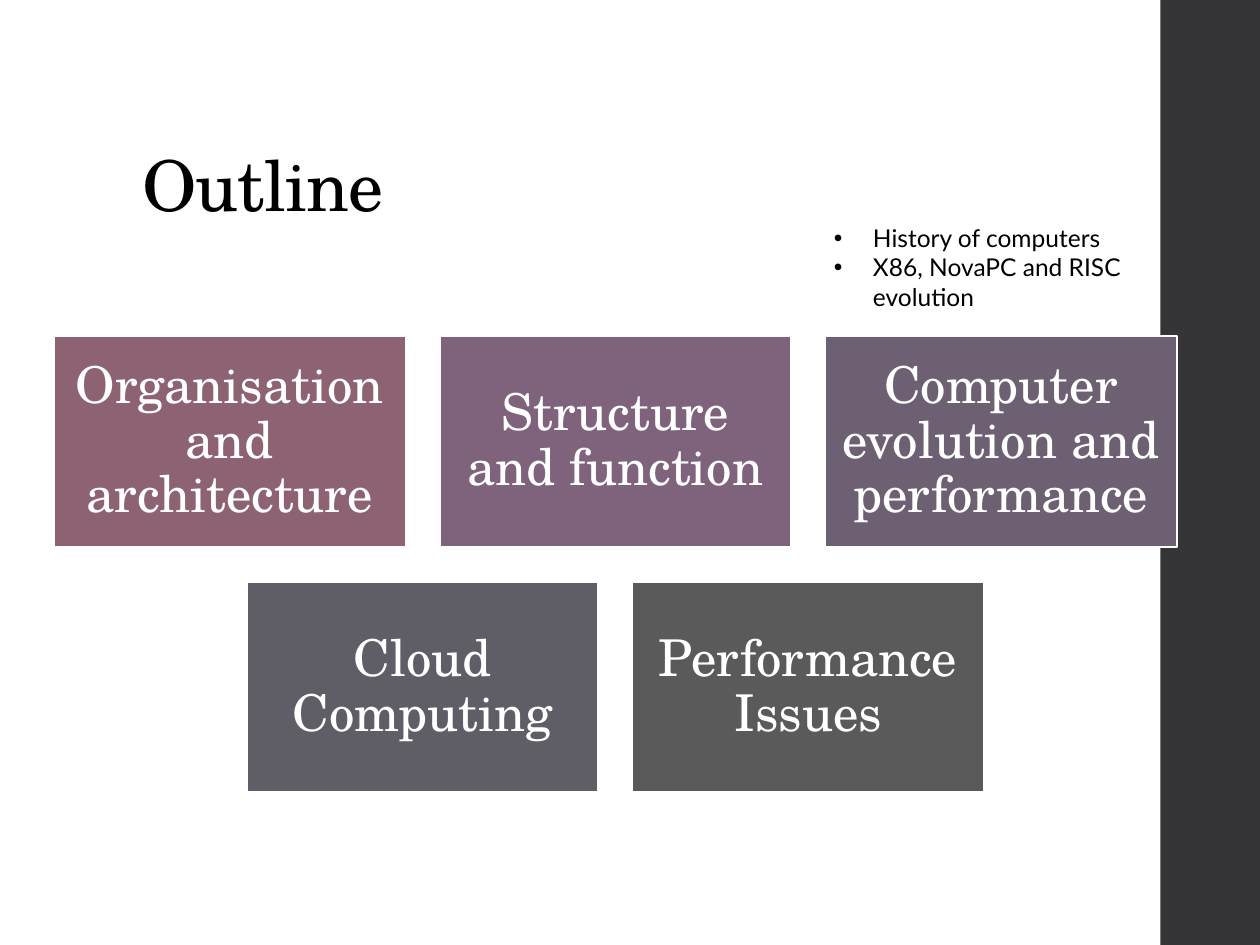
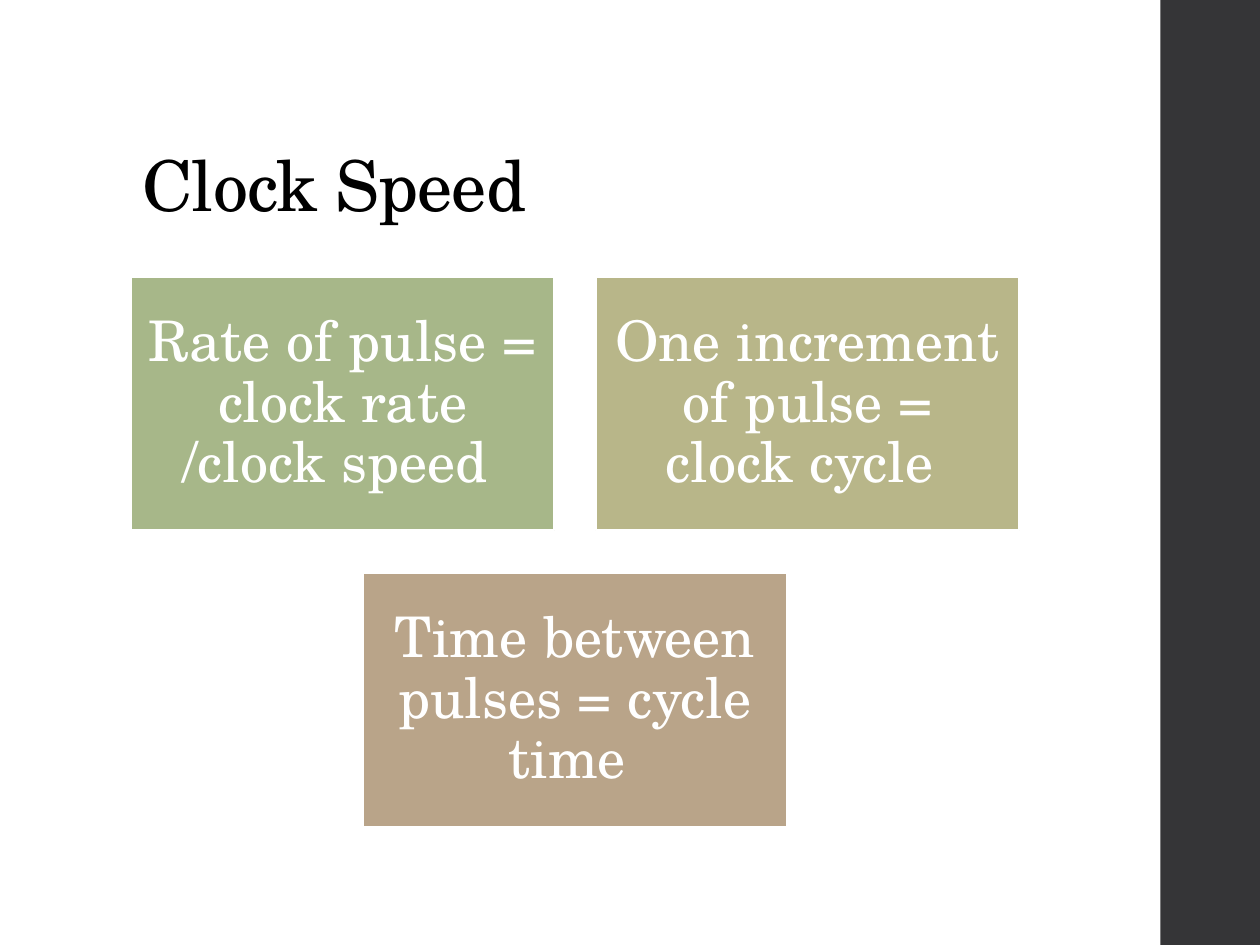
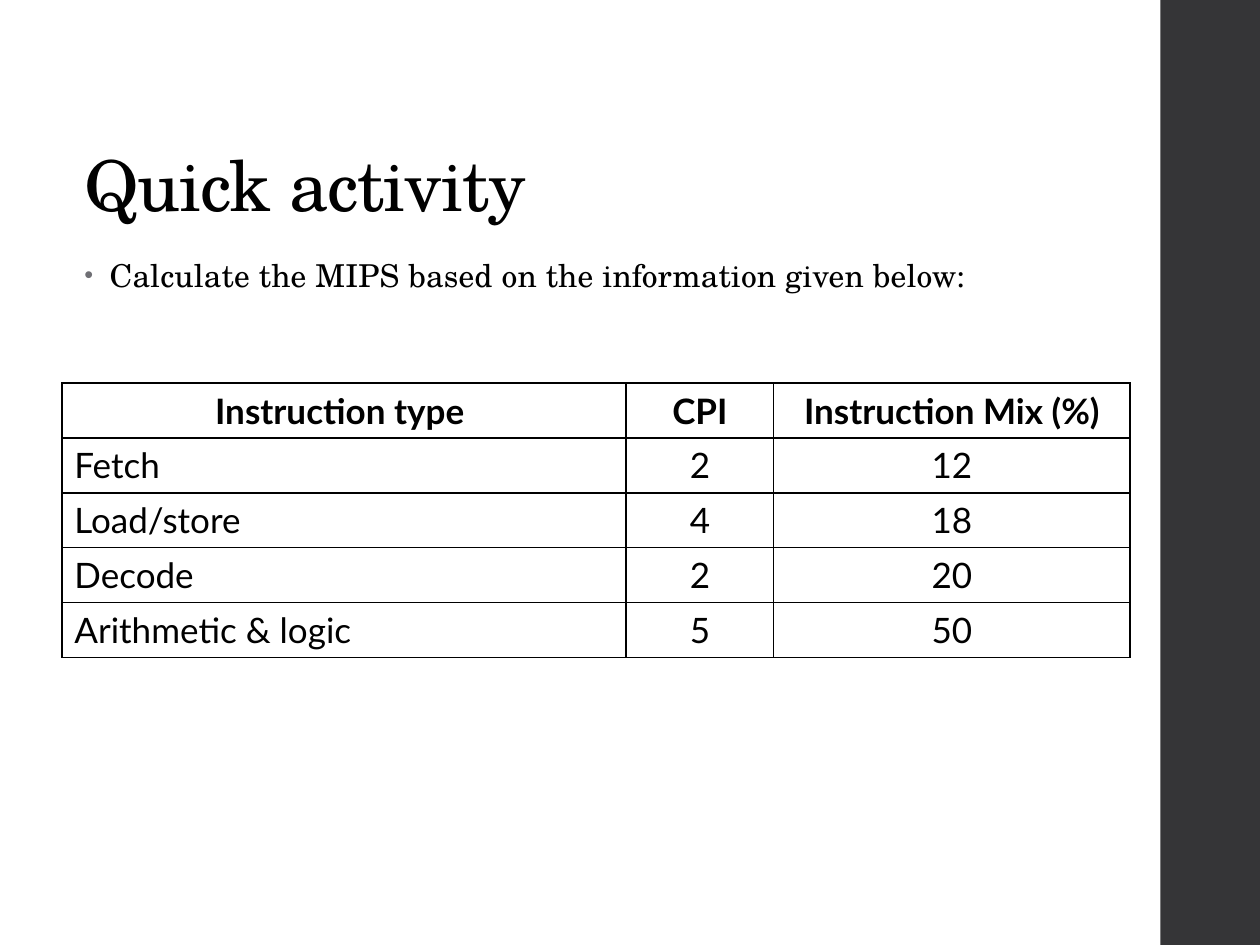
from lxml import etree
from pptx import Presentation
from pptx.dml.color import RGBColor
from pptx.enum.shapes import MSO_SHAPE
from pptx.enum.text import MSO_ANCHOR, MSO_AUTO_SIZE, PP_ALIGN
from pptx.oxml.ns import qn
from pptx.util import Inches, Pt

RECTANGLE = MSO_SHAPE.RECTANGLE
TOP, MIDDLE, BOTTOM = MSO_ANCHOR.TOP, MSO_ANCHOR.MIDDLE, MSO_ANCHOR.BOTTOM
LEFT, CENTER = PP_ALIGN.LEFT, PP_ALIGN.CENTER
NO_AUTOFIT = MSO_AUTO_SIZE.NONE

SERIF, SANS = "TeX Gyre Schola", "Lato"
BLACK = RGBColor(0x00, 0x00, 0x00)
WHITE = RGBColor(0xFF, 0xFF, 0xFF)
BAND_GRAY = RGBColor(0x35, 0x35, 0x37)
BULLET_GRAY = RGBColor(0x6F, 0x6F, 0x74)
MAUVE = RGBColor(0x8D, 0x63, 0x74)
PURPLE = RGBColor(0x7F, 0x62, 0x7C)
VIOLET = RGBColor(0x6C, 0x60, 0x72)
SLATE = RGBColor(0x5F, 0x5D, 0x66)
GRAPHITE = RGBColor(0x5A, 0x5A, 0x5A)
SAGE = RGBColor(0xA7, 0xB7, 0x89)
OLIVE = RGBColor(0xB8, 0xB6, 0x89)
TAN = RGBColor(0xB9, 0xA4, 0x89)

TOPICS = [
    ("Organisation and architecture", MAUVE),
    ("Structure and function", PURPLE),
    ("Computer evolution and performance", VIOLET),
    ("Cloud Computing", SLATE),
    ("Performance Issues", GRAPHITE),
]
CLOCK_TERMS = [
    ("Rate of pulse = clock rate /clock speed ", SAGE),
    ("One increment of pulse = clock cycle ", OLIVE),
    ("Time between pulses = cycle time ", TAN),
]
EVOLUTION_NOTES = ["History of computers", "X86, NovaPC and RISC evolution"]
INSTRUCTION_MIX = [
    ("Instruction type ", "CPI", "Instruction Mix (%)"),
    ("Fetch", "2", "12"),
    ("Load/store", "4", "18"),
    ("Decode", "2", "20"),
    ("Arithmetic & logic", "5", "50"),
]


def add_run(paragraph, text, font, size, color, bold=False, spacing=0):
    """Add a formatted run, with letter spacing in points."""
    run = paragraph.add_run()
    run.text = text
    run.font.name = font
    run.font.size = Pt(size)
    run.font.color.rgb = color
    run.font.bold = bold
    if spacing:
        run.font._element.set("spc", str(round(spacing * 100)))


def add_bullet(paragraph, margin, hanging, color=None, percent=100):
    """Give a paragraph a hanging round bullet."""
    properties = paragraph._p.get_or_add_pPr()
    properties.set("marL", str(Inches(margin)))
    properties.set("indent", str(-Inches(hanging)))
    if color is not None:
        bullet_color = etree.SubElement(properties, qn("a:buClr"))
        etree.SubElement(bullet_color, qn("a:srgbClr"), val=str(color))
    etree.SubElement(properties, qn("a:buSzPct"), val=str(percent * 1000))
    etree.SubElement(properties, qn("a:buFont"), typeface="Arial")
    etree.SubElement(properties, qn("a:buChar"), char="•")


def set_space_after_percent(paragraph, percent):
    """Set the space after a paragraph relative to its text size."""
    paragraph.space_after = Pt(0)
    space = paragraph._p.pPr.find(qn("a:spcAft"))
    space.clear()
    etree.SubElement(space, qn("a:spcPct"), val=str(percent * 1000))


def place(shape, box):
    """Move a shape to a box of left, top, width and height in inches."""
    shape.left, shape.top, shape.width, shape.height = map(Inches, box)


def add_rectangle(slide, box, color):
    """Add a filled rectangle without line or shadow."""
    shape = slide.shapes.add_shape(RECTANGLE, *map(Inches, box))
    shape.shadow.inherit = False
    shape.fill.solid()
    shape.fill.fore_color.rgb = color
    shape.line.fill.background()
    return shape


def add_master_band(presentation, slide):
    """Put the dark side band on the slide master."""
    band = add_rectangle(slide, (9.21, 0, 0.79, 7.5), BAND_GRAY)
    presentation.slide_master.shapes.element.insert(2, band.element)


def add_titled_slide(presentation, layout_index, title, left=1.03):
    """Add a slide whose title runs from left to the shared right edge."""
    slide = presentation.slides.add_slide(presentation.slide_layouts[layout_index])
    place(slide.shapes.title, (left, 0.4, 8.98 - left, 1.45))
    frame = slide.shapes.title.text_frame
    frame.auto_size = NO_AUTOFIT
    frame.vertical_anchor = BOTTOM
    paragraph = frame.paragraphs[0]
    paragraph.alignment = LEFT
    paragraph.line_spacing = 0.9
    add_run(paragraph, title, SERIF, 40, BLACK, spacing=-0.5)
    return slide


def add_tile(slide, box, text, color, size, inset):
    """Add one coloured tile with centred white text."""
    tile = add_rectangle(slide, box, color)
    tile.line.color.rgb = WHITE
    tile.line.width = Pt(1.1)
    frame = tile.text_frame
    frame.word_wrap = True
    frame.vertical_anchor = MIDDLE
    frame.margin_left = frame.margin_right = Inches(inset)
    frame.margin_top = frame.margin_bottom = Inches(inset)
    paragraph = frame.paragraphs[0]
    paragraph.alignment = CENTER
    paragraph.line_spacing = 0.9
    set_space_after_percent(paragraph, 35)
    add_run(paragraph, text, SERIF, size, WHITE)


def add_tile_grid(slide, box, tiles, columns, tile_size, size, inset):
    """Fill a box with evenly spaced rows of tiles, each row centred."""
    left, top, width, height = box
    tile_width, tile_height = tile_size
    rows = [tiles[i:i + columns] for i in range(0, len(tiles), columns)]
    step_x = (width - tile_width) / (columns - 1)
    step_y = (height - tile_height) / (len(rows) - 1)
    for row_index, row in enumerate(rows):
        row_left = left + (columns - len(row)) * step_x / 2
        for column, (text, color) in enumerate(row):
            tile_box = (row_left + column * step_x, top + row_index * step_y,
                        tile_width, tile_height)
            add_tile(slide, tile_box, text, color, size, inset)


def add_notes_list(slide, box, items):
    """Add a small bulleted text box."""
    frame = slide.shapes.add_textbox(*map(Inches, box)).text_frame
    frame.word_wrap = True
    for index, item in enumerate(items):
        paragraph = frame.add_paragraph() if index else frame.paragraphs[0]
        paragraph.level = 1
        add_bullet(paragraph, 0.81, 0.31)
        add_run(paragraph, item, SANS, 14, BLACK)


def add_task(slide, box, text):
    """Write the task as a bullet in the body placeholder."""
    body = slide.placeholders[1]
    place(body, box)
    body.text_frame.auto_size = NO_AUTOFIT
    paragraph = body.text_frame.paragraphs[0]
    paragraph.line_spacing = 0.95
    paragraph.space_before = Pt(0)
    paragraph.space_after = Pt(2)
    add_bullet(paragraph, 0.2, 0.2, BULLET_GRAY, 80)
    add_run(paragraph, text, SERIF, 18, BLACK, spacing=0.1)


def add_cell_borders(cell):
    """Draw thin black lines on all sides of a cell."""
    properties = cell._tc.get_or_add_tcPr()
    for index, side in enumerate(("a:lnL", "a:lnR", "a:lnT", "a:lnB")):
        line = etree.Element(qn(side), w=str(Pt(1)))
        fill = etree.SubElement(line, qn("a:solidFill"))
        etree.SubElement(fill, qn("a:srgbClr"), val=str(BLACK))
        properties.insert(index, line)


def add_mix_table(slide, left, top, column_widths, row_height, rows):
    """Add a ruled table with a bold heading row."""
    frame = slide.shapes.add_table(
        len(rows), len(column_widths), Inches(left), Inches(top),
        Inches(sum(column_widths)), Inches(row_height * len(rows)))
    table = frame.table
    table.first_row = table.horz_banding = False
    for column, width in zip(table.columns, column_widths):
        column.width = Inches(width)
    for row_index, row in enumerate(rows):
        table.rows[row_index].height = Inches(row_height)
        for column_index, text in enumerate(row):
            is_heading, is_label = row_index == 0, column_index == 0
            cell = table.cell(row_index, column_index)
            cell.fill.background()
            cell.vertical_anchor = TOP if is_heading or is_label else MIDDLE
            add_cell_borders(cell)
            paragraph = cell.text_frame.paragraphs[0]
            paragraph.alignment = LEFT if is_label and not is_heading else CENTER
            add_run(paragraph, text, SANS, 20, BLACK, bold=is_heading)


def build_outline(presentation):
    """Build the outline slide."""
    slide = add_titled_slide(presentation, 5, "Outline")
    add_master_band(presentation, slide)
    add_tile_grid(slide, (0.43, 2.67, 8.91, 3.62), TOPICS, 3, (2.79, 1.67), 29, 0.12)
    add_notes_list(slide, (6.02, 1.72, 3.35, 0.81), EVOLUTION_NOTES)


def build_clock_speed(presentation):
    """Build the clock speed slide."""
    slide = add_titled_slide(presentation, 5, "Clock Speed")
    add_tile_grid(slide, (1.04, 2.2, 7.05, 4.36), CLOCK_TERMS, 2, (3.36, 2.01), 32, 0.13)


def build_activity(presentation):
    """Build the activity slide."""
    slide = add_titled_slide(presentation, 1, "Quick activity", left=0.57)
    add_task(slide, (0.57, 2, 8.41, 4.76),
             "Calculate the MIPS based on the information given below:")
    add_mix_table(slide, 0.49, 3.04, (4.48, 1.17, 2.83), 0.43, INSTRUCTION_MIX)


def main():
    """Build and save the presentation."""
    presentation = Presentation()
    presentation.slide_width = Inches(10)
    presentation.slide_height = Inches(7.5)
    build_outline(presentation)
    build_clock_speed(presentation)
    build_activity(presentation)
    presentation.save("out.pptx")


if __name__ == "__main__":
    main()
